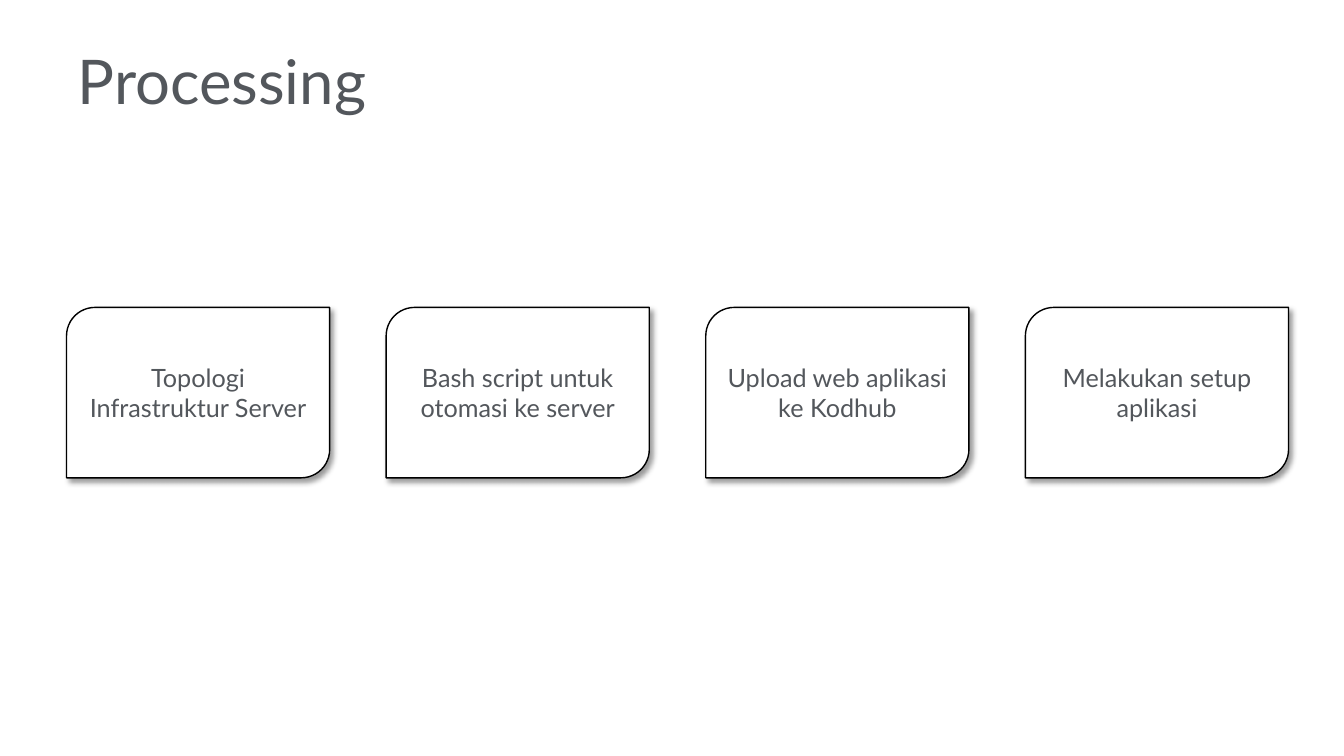
from lxml import etree
from pptx import Presentation
from pptx.dml.color import RGBColor as RGB
from pptx.enum.shapes import MSO_SHAPE as Shape
from pptx.enum.text import MSO_ANCHOR as Anchor, MSO_AUTO_SIZE as Fit, PP_ALIGN as Align
from pptx.oxml import parse_xml
from pptx.oxml.ns import nsdecls
from pptx.util import Inches, Pt

HUES = {"text": "53575C", "card": "FFFFFF", "edge": "000000"}
STEPS = [
    "Topologi Infrastruktur Server",
    "Bash script untuk otomasi ke server",
    "Upload web aplikasi ke Kodhub",
    "Melakukan setup aplikasi",
]
LEFT, TOP, PITCH = 0.66, 3.05, 3.17
WIDE, HIGH = 2.61, 1.69


def write(shape, text, size, align):
    frame = shape.text_frame
    frame.text = text
    frame.word_wrap = True
    frame.auto_size = Fit.NONE
    frame.vertical_anchor = Anchor.MIDDLE
    para = frame.paragraphs[0]
    para.alignment = align
    font = para.runs[0].font
    font.name, font.size = "Lato", Pt(size)
    font.color.rgb = RGB.from_string(HUES["text"])


def shade(shape):
    """Give the shape a soft shadow to its lower right."""
    shape.shadow.inherit = False
    effects = shape.element.spPr.find("{*}effectLst")
    effects.append(parse_xml(
        f'<a:outerShdw {nsdecls("a")} blurRad="{Pt(4)}" dist="{Pt(3)}" '
        f'dir="2700000" algn="tl" rotWithShape="0"><a:srgbClr val="{HUES["edge"]}">'
        '<a:alpha val="40000"/></a:srgbClr></a:outerShdw>'))


deck = Presentation()
deck.slide_width, deck.slide_height = Inches(13.33), Inches(7.5)
slide = deck.slides.add_slide(deck.slide_layouts[5])

title = slide.shapes.title
title.left, title.top = Inches(0.67), Inches(0.47)
title.width, title.height = Inches(12), Inches(0.64)
write(title, "Processing", 44, Align.LEFT)

for col, step in enumerate(STEPS):
    card = slide.shapes.add_shape(
        Shape.ROUND_2_DIAG_RECTANGLE, Inches(LEFT + col * PITCH), Inches(TOP),
        Inches(WIDE), Inches(HIGH))
    card.fill.solid()
    card.fill.fore_color.rgb = RGB.from_string(HUES["card"])
    card.line.color.rgb = RGB.from_string(HUES["edge"])
    card.line.width = Pt(1)
    shade(card)
    write(card, step, 18, Align.CENTER)

deck.save("out.pptx")
